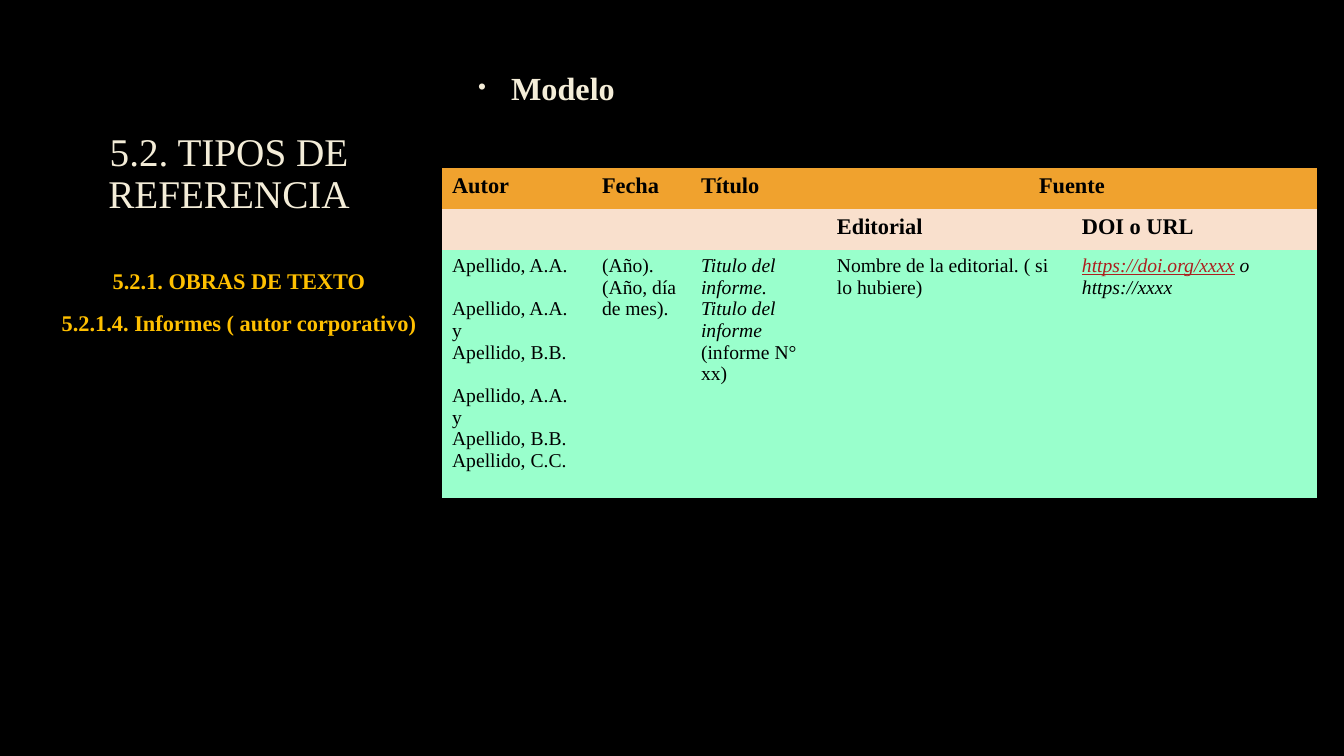
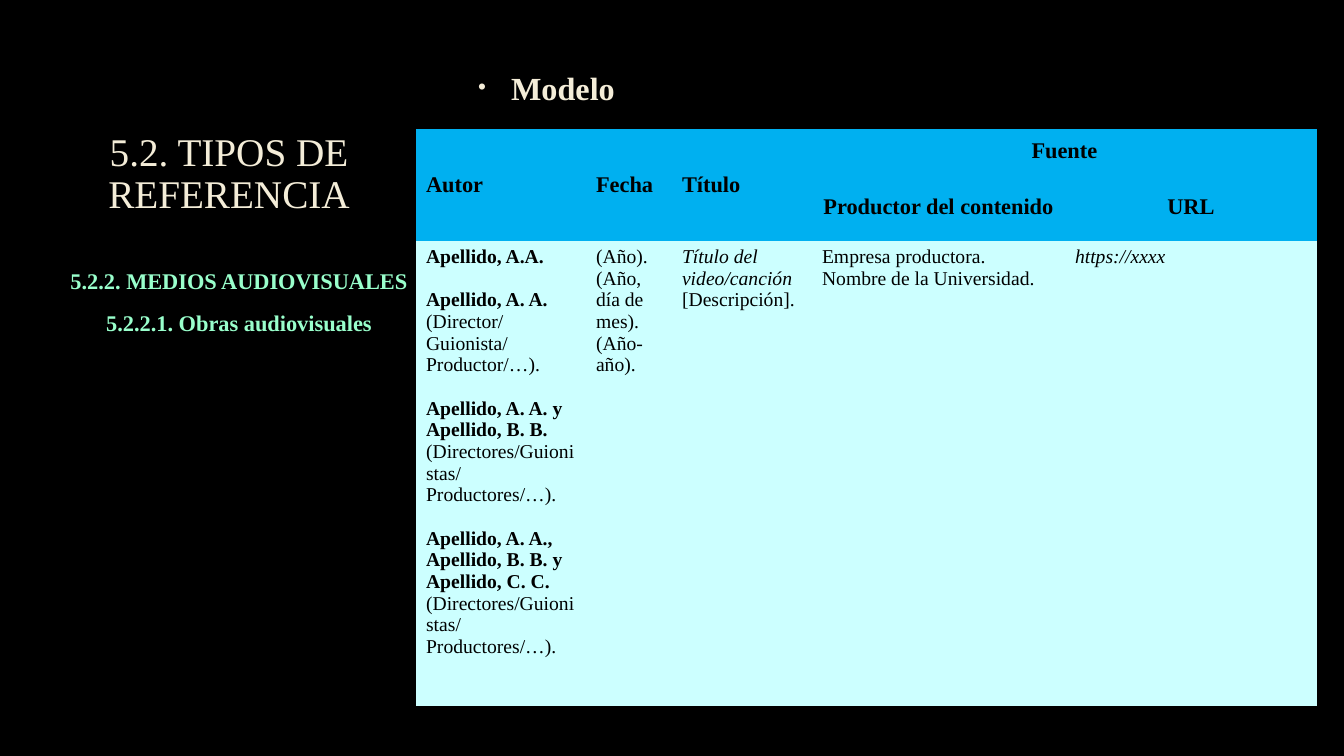
from dataclasses import dataclass

from lxml import etree
from pptx import Presentation
from pptx.dml.color import RGBColor
from pptx.enum.text import MSO_ANCHOR, MSO_AUTO_SIZE, PP_ALIGN
from pptx.oxml.ns import qn
from pptx.util import Emu, Pt

CENTER, LEFT = PP_ALIGN.CENTER, PP_ALIGN.LEFT
TOP, MIDDLE, BOTTOM = MSO_ANCHOR.TOP, MSO_ANCHOR.MIDDLE, MSO_ANCHOR.BOTTOM
NO_FIT = MSO_AUTO_SIZE.NONE
EMU_PER_PX = 914400 / 100.8
TWO_CONTENT = 3
NO_STYLE = "{2D5ABB26-0587-4C30-8999-92F81FD0307C}"


@dataclass(frozen=True)
class Theme:
    """Colours, font and type sizes shared by the slides."""

    font: str = "Times New Roman"
    back: str = "000000"
    ink: str = "000000"
    cream: str = "F4EDD8"
    outline: str = "404040"
    link: str = "AD1F1F"
    amber: str = "FFC000"
    orange: str = "F0A22E"
    peach: str = "F9E0CD"
    mint: str = "99FFCC"
    blue: str = "00B0F0"
    ice: str = "CCFFFF"
    title: float = 28
    model: float = 23
    head: float = 16
    cell: float = 14
    gap: float = 15.5


THEME = Theme()


@dataclass(frozen=True)
class Run:
    """A stretch of table text in one style."""

    text: str
    bold: bool = False
    italic: bool = False
    underline: bool = False
    color: str = THEME.ink


@dataclass(frozen=True)
class Para:
    """A paragraph of runs, set apart from the one above if asked."""

    runs: tuple[Run, ...]
    apart: bool = False


@dataclass(frozen=True)
class Head:
    """A heading cell and the grid cells that it covers."""

    text: str
    row: int
    col: int
    rows: int = 1
    cols: int = 1
    align: PP_ALIGN = LEFT


@dataclass(frozen=True)
class Model:
    """One slide: its subtitles and its reference table."""

    subtitles: tuple[str, ...]
    accent: str
    left: int
    top: int
    widths: tuple[int, ...]
    heights: tuple[int, ...]
    fills: tuple[str, ...]
    anchor: MSO_ANCHOR
    heads: tuple[Head, ...]
    body: tuple[tuple[Para, ...], ...]


def plain(text: str, apart: bool = False) -> Para:
    """Make a paragraph of regular text."""
    return Para((Run(text),), apart)


def credit(names: str, roles: str) -> Para:
    """Make an author paragraph: bold names, then their roles."""
    return Para((Run(names + " ", bold=True), Run(roles)), True)


DIRECTORS = "(Directores/Guionistas/ Productores/…)."

MODELS = (
    Model(
        ("5.2.1. OBRAS DE TEXTO", "5.2.1.4. Informes ( autor corporativo)"),
        THEME.amber, 442, 168, (150, 99, 136, 245, 245), (41, 41, 248),
        (THEME.orange, THEME.peach, THEME.mint), TOP,
        (
            Head("Autor", 0, 0),
            Head("Fecha", 0, 1),
            Head("Título", 0, 2),
            Head("Fuente", 0, 3, cols=2, align=CENTER),
            Head("Editorial", 1, 3),
            Head("DOI o URL", 1, 4),
        ),
        (
            (
                plain("Apellido, A.A."),
                plain("Apellido, A.A. y", True),
                plain("Apellido, B.B."),
                plain("Apellido, A.A. y", True),
                plain("Apellido, B.B."),
                plain("Apellido, C.C."),
            ),
            (plain("(Año)."), plain("(Año, día de mes).")),
            (
                Para((Run("Titulo del informe.", italic=True),)),
                Para((Run("Titulo del informe ", italic=True), Run("(informe N° xx)"))),
            ),
            (plain("Nombre de la editorial. ( si lo hubiere)"),),
            (
                Para((
                    Run("https://doi.org/xxxx", italic=True, underline=True, color=THEME.link),
                    Run(" o https://xxxx", italic=True),
                )),
            ),
        ),
    ),
    Model(
        ("5.2.2. MEDIOS AUDIOVISUALES", "5.2.2.1. Obras audiovisuales"),
        THEME.mint, 416, 129, (170, 86, 140, 253, 252), (43, 69, 465),
        (THEME.blue, THEME.blue, THEME.ice), MIDDLE,
        (
            Head("Autor", 0, 0, rows=2),
            Head("Fecha", 0, 1, rows=2),
            Head("Título", 0, 2, rows=2),
            Head("Fuente", 0, 3, cols=2, align=CENTER),
            Head("Productor del contenido", 1, 3, align=CENTER),
            Head("URL", 1, 4, align=CENTER),
        ),
        (
            (
                Para((Run("Apellido, A.A.", bold=True),)),
                credit("Apellido, A. A.", "(Director/ Guionista/ Productor/…)."),
                credit("Apellido, A. A. y Apellido, B. B.", DIRECTORS),
                credit("Apellido, A. A., Apellido, B. B. y Apellido, C. C.", DIRECTORS),
            ),
            (plain("(Año). (Año, día de mes). (Año-año)."),),
            (Para((Run("Título del video/canción ", italic=True), Run("[Descripción]."))),),
            (plain("Empresa productora. Nombre de la Universidad."),),
            (Para((Run("https://xxxx", italic=True),)),),
        ),
    ),
)


def px(n: int) -> Emu:
    """Turn pixels into EMU."""
    return Emu(round(n * EMU_PER_PX))


def add_run(p, run: Run, size: float):
    """Add one formatted run to a paragraph."""
    r = p.add_run()
    r.text = run.text
    font = r.font
    font.name, font.size = THEME.font, Pt(size)
    font.bold, font.italic, font.underline = run.bold, run.italic, run.underline
    font.color.rgb = RGBColor.from_string(run.color)
    return r


def add_outlined(p, run: Run, size: float) -> None:
    """Add a run with a faint outline around its letters."""
    r = add_run(p, run, size)
    ln = etree.Element(qn("a:ln"), w="9525")
    fill = etree.SubElement(ln, qn("a:solidFill"))
    color = etree.SubElement(fill, qn("a:srgbClr"), val=THEME.outline)
    etree.SubElement(color, qn("a:alpha"), val="10000")
    r.font._element.insert(0, ln)


def set_bullet(p, shown: bool) -> None:
    """Give a paragraph a small cream bullet, or none."""
    ppr = p._p.get_or_add_pPr()
    ppr.set("marL", str(px(38) if shown else 0))
    ppr.set("indent", str(px(-33) if shown else 0))
    if not shown:
        etree.SubElement(ppr, qn("a:buNone"))
        return
    color = etree.SubElement(ppr, qn("a:buClr"))
    etree.SubElement(color, qn("a:srgbClr"), val=THEME.cream)
    etree.SubElement(ppr, qn("a:buSzPct"), val="70000")
    etree.SubElement(ppr, qn("a:buChar"), char="•")


def place(sp, left: int, top: int, width: int, height: int, anchor: MSO_ANCHOR):
    """Move a placeholder and return its text frame."""
    sp.left, sp.top, sp.width, sp.height = px(left), px(top), px(width), px(height)
    tf = sp.text_frame
    tf.word_wrap, tf.auto_size, tf.vertical_anchor = True, NO_FIT, anchor
    return tf


def fill_title(sp) -> None:
    """Write the shared slide title."""
    p = place(sp, 25, 95, 408, 127, BOTTOM).paragraphs[0]
    p.alignment, p.line_spacing = CENTER, 0.9
    add_outlined(p, Run("5.2. TIPOS DE REFERENCIA", color=THEME.cream), THEME.title)


def fill_body(tf, lines: tuple[str, ...], color: str, size: float, bullet: bool) -> None:
    """Write bold body lines, bulleted or centred."""
    for i, line in enumerate(lines):
        p = tf.add_paragraph() if i else tf.paragraphs[0]
        set_bullet(p, bullet)
        p.alignment = LEFT if bullet else CENTER
        p.line_spacing, p.space_after = 1.1, Pt(6)
        add_outlined(p, Run(line, bold=True, color=color), size)


def add_model_table(s, m: Model) -> None:
    """Draw the reference table of a slide."""
    frame = s.shapes.add_table(
        len(m.heights), len(m.widths), px(m.left), px(m.top), px(sum(m.widths)), px(sum(m.heights))
    )
    table = frame.table
    table.first_row = table.horz_banding = False
    table._tbl.tblPr.find(qn("a:tableStyleId")).text = NO_STYLE
    for column, width in zip(table.columns, m.widths):
        column.width = px(width)
    for row, height, color in zip(table.rows, m.heights, m.fills):
        row.height = px(height)
        for cell in row.cells:
            cell.fill.solid()
            cell.fill.fore_color.rgb = RGBColor.from_string(color)
    for h in m.heads:
        cell = table.cell(h.row, h.col)
        if h.rows * h.cols > 1:
            cell.merge(table.cell(h.row + h.rows - 1, h.col + h.cols - 1))
        cell.vertical_anchor = m.anchor
        p = cell.text_frame.paragraphs[0]
        p.alignment = h.align
        add_run(p, Run(h.text, bold=True), THEME.head)
    for col, paras in enumerate(m.body):
        tf = table.cell(len(m.heights) - 1, col).text_frame
        for i, para in enumerate(paras):
            p = tf.add_paragraph() if i else tf.paragraphs[0]
            if para.apart:
                p.space_before = Pt(THEME.gap)
            for run in para.runs:
                add_run(p, run, THEME.cell)


def add_model_slide(prs, m: Model) -> None:
    """Add one slide with title, subtitles and table."""
    s = prs.slides.add_slide(prs.slide_layouts[TWO_CONTENT])
    title, model, subtitles = s.placeholders
    fill_title(title)
    fill_body(place(model, 463, 59, 707, 71, TOP), ("Modelo",), THEME.cream, THEME.model, True)
    fill_body(place(subtitles, 35, 259, 408, 333, TOP), m.subtitles, m.accent, THEME.head, False)
    add_model_table(s, m)


def main() -> None:
    """Build and save the presentation."""
    prs = Presentation()
    prs.slide_width, prs.slide_height = px(1344), px(756)
    fill = prs.slide_master.background.fill
    fill.solid()
    fill.fore_color.rgb = RGBColor.from_string(THEME.back)
    for m in MODELS:
        add_model_slide(prs, m)
    prs.save("out.pptx")


if __name__ == "__main__":
    main()
